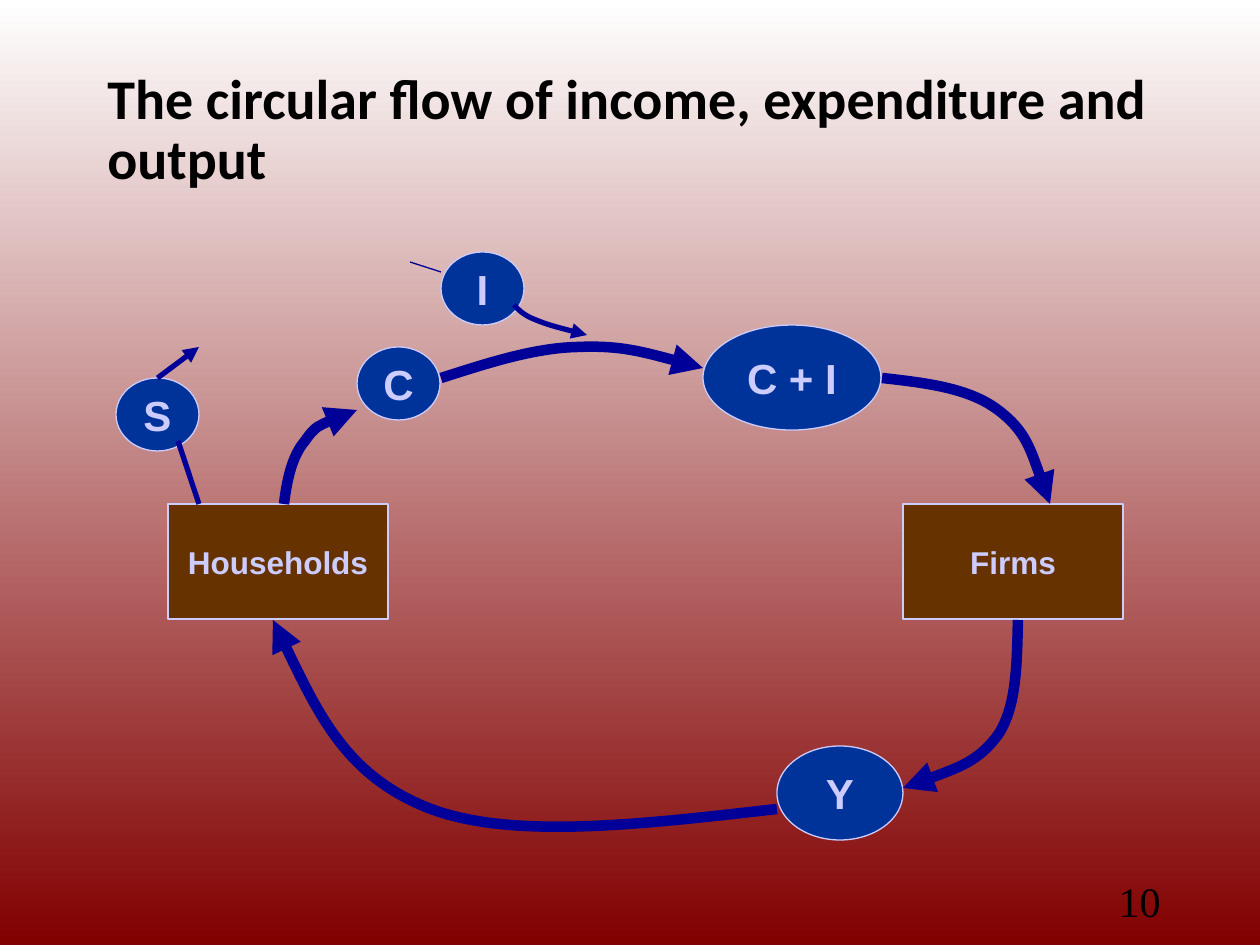
from dataclasses import dataclass
from lxml import etree
from pptx import Presentation
from pptx import util as u
from pptx.dml.color import RGBColor
from pptx.enum import shapes, text
from pptx.oxml.ns import qn


@dataclass(frozen=True)
class Theme:
    sky: str = "FFFFFF"
    ground: str = "810000"
    ink: str = "000000"
    oval: str = "003399"
    box: str = "663300"
    pale: str = "CCCCFF"
    flow: str = "000099"
    title_size: int = 32
    symbol_size: int = 24
    box_size: int = 18


theme = Theme()
PX = 914400 / 126


def write(shape, words, font, size, color, bold, align):
    frame = shape.text_frame
    frame.vertical_anchor = text.MSO_ANCHOR.MIDDLE
    para = frame.paragraphs[0]
    para.alignment = align
    span = para.add_run()
    span.text = words
    span.font.name = font
    span.font.size = u.Pt(size)
    span.font.bold = bold
    span.font.color.rgb = RGBColor.from_string(color)
    return para


def draw_flow(line_shape, weight, arrow):
    line_shape.line.color.rgb = RGBColor.from_string(theme.flow)
    line_shape.line.width = u.Pt(weight)
    if arrow:
        outline = line_shape.element.xpath(".//a:ln")[0]
        etree.SubElement(outline, qn("a:tailEnd"), type="triangle")


deck = Presentation()
deck.slide_width = round(1260 * PX)
deck.slide_height = round(945 * PX)
page = deck.slides.add_slide(deck.slide_layouts[6])

backdrop = page.background.fill
backdrop.gradient()
backdrop.gradient_angle = 270
for stop, color, position in zip(backdrop.gradient_stops, (theme.sky, theme.ground), (0, 1)):
    stop.color.rgb = RGBColor.from_string(color)
    stop.position = position

captions = [
    ("The circular flow of income, expenditure and output", (95, 53, 1071, 157),
     "Calibri", theme.title_size, True, text.PP_ALIGN.LEFT, 0.9),
    ("10", (890, 876, 283, 50),
     "Times New Roman", theme.symbol_size, False, text.PP_ALIGN.RIGHT, 1.0),
]
for words, place, font, size, bold, align, spacing in captions:
    caption = page.shapes.add_textbox(*(round(n * PX) for n in place))
    caption.text_frame.word_wrap = True
    para = write(caption, words, font, size, theme.ink, bold, align)
    para.line_spacing = spacing

OVAL = shapes.MSO_SHAPE.OVAL
BOX = shapes.MSO_SHAPE.RECTANGLE
nodes = {}
for words, kind, place in [
    ("Y", OVAL, (777, 746, 126, 94)),
    ("Households", BOX, (168, 504, 220, 115)),
    ("Firms", BOX, (903, 504, 220, 115)),
    ("C + I", OVAL, (703, 325, 178, 105)),
    ("I", OVAL, (441, 252, 83, 73)),
    ("C", OVAL, (357, 347, 83, 73)),
    ("S", OVAL, (116, 378, 83, 73)),
]:
    node = page.shapes.add_shape(kind, *(round(n * PX) for n in place))
    node.shadow.inherit = False
    node.fill.solid()
    node.fill.fore_color.rgb = RGBColor.from_string(theme.oval if kind == OVAL else theme.box)
    node.line.color.rgb = RGBColor.from_string(theme.pale)
    node.line.width = u.Pt(0.75)
    node.text_frame.word_wrap = False
    size = theme.symbol_size if kind == OVAL else theme.box_size
    write(node, words, "Arial", size, theme.pale, True, text.PP_ALIGN.CENTER)
    nodes[words] = node

curves = [
    (6, [(1018, 620), (1017, 663), (1017, 707), (998, 735), (978, 762), (940, 775), (903, 788)]),
    (6, [(777, 809), (645, 824), (514, 840), (431, 809), (347, 777), (310, 698), (273, 620)]),
    (6, [(441, 378), (488, 363), (534, 348), (577, 347), (621, 345), (663, 357), (703, 368)]),
    (6, [(882, 378), (926, 383), (969, 388), (998, 410), (1026, 431), (1037, 467), (1050, 504)]),
    (3, [(514, 305), (519, 310), (523, 315), (536, 320), (548, 325), (568, 330), (587, 335)]),
    (6, [(284, 504), (287, 480), (292, 456), (305, 441), (316, 425), (336, 417), (357, 410)]),
]
for weight, points in curves:
    builder = page.shapes.build_freeform(*points[0], scale=PX)
    builder.add_line_segments(points[1:], close=False)
    curve = builder.convert_to_shape()
    curve.shadow.inherit = False
    curve.fill.background()
    draw_flow(curve, weight, True)
    outline = curve.element.xpath(".//a:path")[0]
    segments = outline.findall(qn("a:lnTo"))
    for first in range(0, len(segments), 3):
        bezier = etree.SubElement(outline, qn("a:cubicBezTo"))
        for segment in segments[first:first + 3]:
            bezier.append(segment[0])
            outline.remove(segment)

for weight, arrow, ends, source in [
    (0.75, False, (410, 262, 441, 272), None),
    (3, False, (199, 504, 178, 441), None),
    (3, True, (157, 378, 199, 347), nodes["S"]),
]:
    link = page.shapes.add_connector(
        shapes.MSO_CONNECTOR.STRAIGHT, *(round(n * PX) for n in ends))
    if source is not None:
        link.begin_connect(source, 0)
    draw_flow(link, weight, arrow)
    etree.SubElement(link.element.spPr, qn("a:effectLst"))

deck.save("out.pptx")
